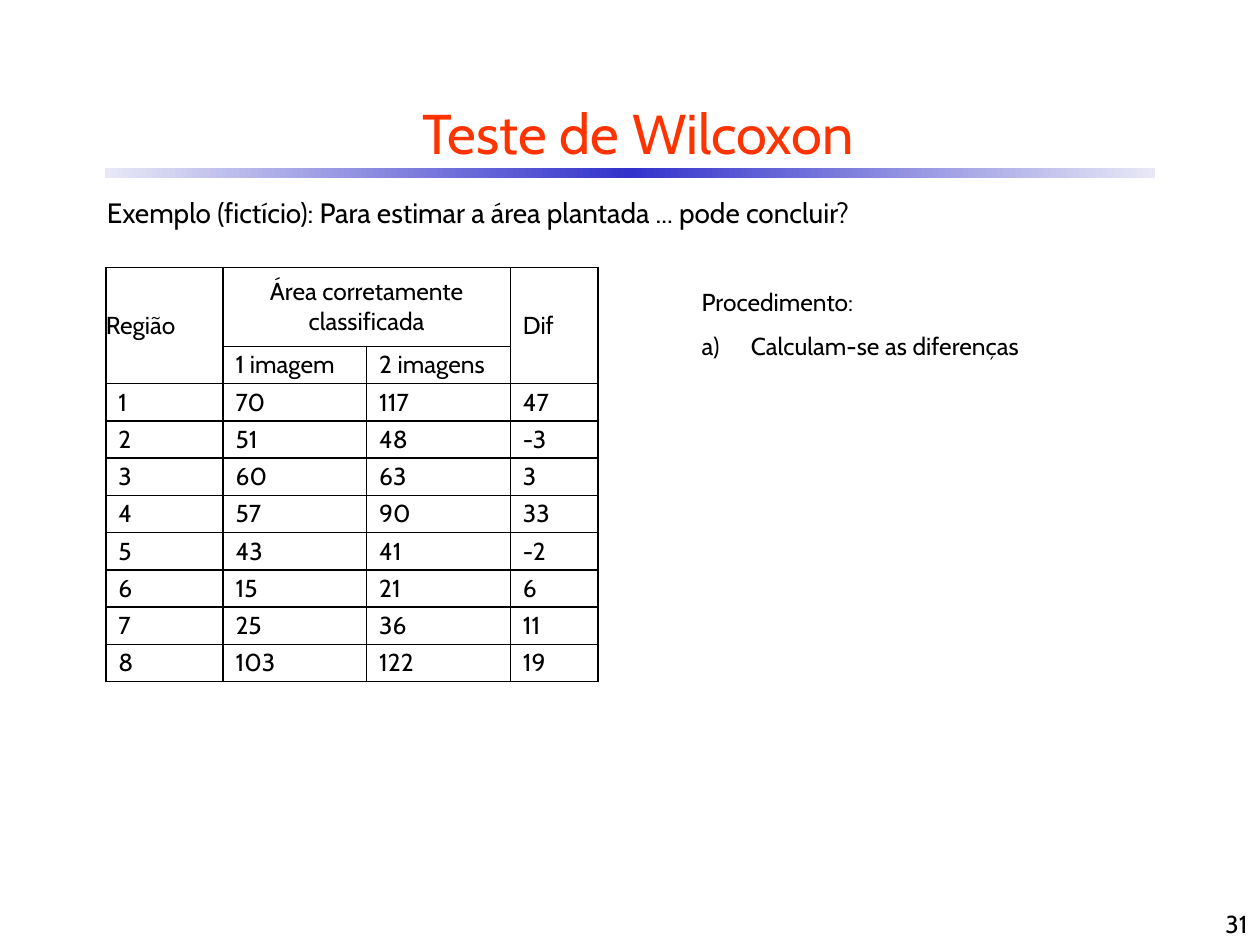
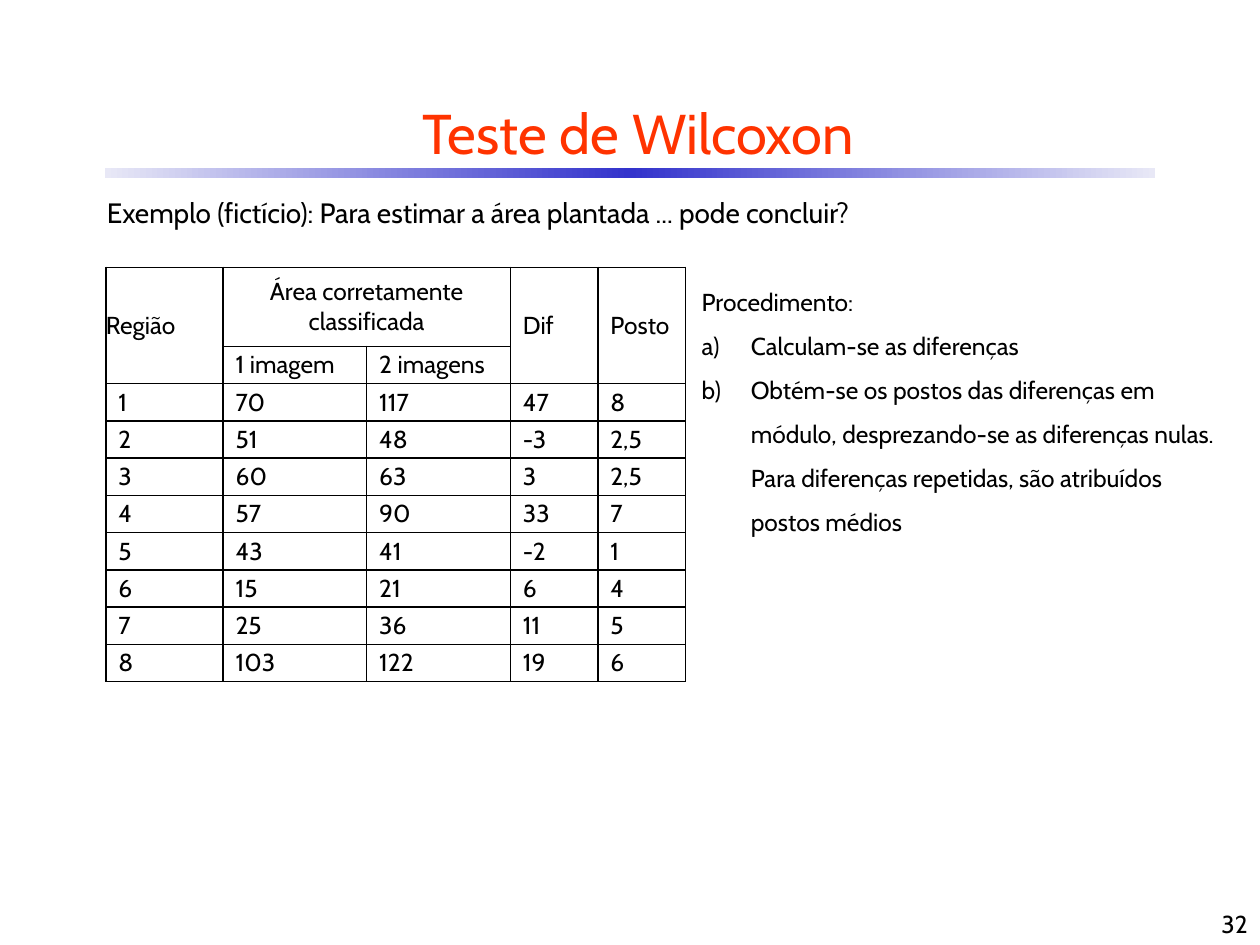
from copy import deepcopy
from dataclasses import dataclass

from lxml import etree
from pptx import Presentation
from pptx import util as u
from pptx.dml.color import RGBColor
from pptx.enum import shapes, text
from pptx.oxml import ns


@dataclass(frozen=True)
class Theme:
    font: str = "Cabin"
    title: RGBColor = RGBColor(0xFF, 0x33, 0x00)
    ink: RGBColor = RGBColor(0, 0, 0)
    paper: RGBColor = RGBColor(0xFF, 0xFF, 0xFF)
    band: RGBColor = RGBColor(0x33, 0x33, 0xCC)
    band_edge: RGBColor = RGBColor(0xE8, 0xE8, 0xF6)
    title_size: int = 32
    lead_size: int = 16
    body_size: int = 14
    border: int = 1


T = Theme()
prs = Presentation()
prs.slide_width, prs.slide_height = u.Inches(10), u.Inches(7.5)
COL, ROW = prs.slide_width / 100, prs.slide_height / 100


def area(left, top, width, height):
    return [round(v) for v in (left * COL, top * ROW, width * COL, height * ROW)]


def write(tf, lines, size=T.body_size, color=T.ink, align=text.PP_ALIGN.LEFT,
          anchor=text.MSO_ANCHOR.TOP, hang=0, spacing=None, numbered=False, grow=False):
    tf.word_wrap = True
    tf.vertical_anchor = anchor
    if grow:
        tf.auto_size = text.MSO_AUTO_SIZE.SHAPE_TO_FIT_TEXT
    for i, line in enumerate(lines):
        p = tf.add_paragraph() if i else tf.paragraphs[0]
        p.alignment = align
        if spacing:
            p.line_spacing = spacing
        if hang:
            pPr = p._p.get_or_add_pPr()
            pPr.set("marL", str(round(hang * COL)))
            pPr.set("indent", str(-round(hang * COL)))
            if numbered and i:
                etree.SubElement(pPr, ns.qn("a:buAutoNum"), type="alphaLcParenR")
        r = p.add_run()
        r.text = line
        r.font.name, r.font.size, r.font.color.rgb = T.font, u.Pt(size), color


MIDDLE, CENTER = text.MSO_ANCHOR.MIDDLE, text.PP_ALIGN.CENTER
header = ["Região", "Área corretamente classificada", "", "Dif", "Posto"]
subheader = ["", "1 imagem", "2 imagens", "", ""]
one_image = [70, 51, 60, 57, 43, 15, 25, 103]
two_images = [117, 48, 63, 90, 41, 21, 36, 122]
ranks = ["8", "2,5", "2,5", "7", "1", "4", "5", "6"]
regions = [[str(v) for v in (n, a, b, b - a, rank)]
           for n, (a, b, rank) in enumerate(zip(one_image, two_images, ranks), 1)]
rows = [header, subheader] + regions
col_widths = [9.3, 11.4, 11.4, 6.95, 6.95]
header_height, table_height = 8.36, 43.87
row_height = (table_height - header_height) / (len(rows) - 1)

steps = [
    "Procedimento:",
    "Calculam-se as diferenças",
    "Obtém-se os postos das diferenças em módulo, desprezando-se as diferenças nulas. "
    "Para diferenças repetidas, são atribuídos postos médios",
]

for number, col_count, step_count, steps_height in [(31, 4, 2, 10.27), (32, 5, 3, 29.6)]:
    s = prs.slides.add_slide(prs.slide_layouts[6])

    band = s.shapes.add_shape(shapes.MSO_SHAPE.RECTANGLE, *area(8.33, 17.75, 83.33, 1.07))
    band.shadow.inherit = False
    band.line.fill.background()
    band.fill.gradient()
    band.fill.gradient_angle = 0
    stops = band._element.spPr.find(".//" + ns.qn("a:gsLst"))
    stops.insert(1, deepcopy(stops[0]))
    for stop, position, color in zip(band.fill.gradient_stops, (0, 0.5, 1),
                                     (T.band_edge, T.band, T.band_edge)):
        stop.position, stop.color.rgb = position, color

    title = s.shapes.add_textbox(*area(3.3, 8.93, 94.7, 10))
    write(title.text_frame, ["Teste de Wilcoxon"], size=T.title_size, color=T.title,
          align=CENTER, anchor=MIDDLE)

    lead = s.shapes.add_textbox(*area(7.5, 20, 87, 4.93))
    write(lead.text_frame,
          ["Exemplo (fictício): Para estimar a área plantada ... pode concluir?"],
          size=T.lead_size, hang=2.1, grow=True)

    widths = col_widths[:col_count]
    table = s.shapes.add_table(len(rows), col_count,
                               *area(8.4, 28.3, sum(widths), table_height)).table
    table.first_row = table.horz_banding = False
    for column, width in zip(table.columns, widths):
        column.width = round(width * COL)
    for i, row in enumerate(table.rows):
        row.height = round((row_height if i else header_height) * ROW)
    table.cell(0, 1).merge(table.cell(0, 2))
    for c in [0, *range(3, col_count)]:
        table.cell(0, c).merge(table.cell(1, c))

    for i, row in enumerate(rows):
        for c, value in enumerate(row[:col_count]):
            cell = table.cell(i, c)
            side = 0 if value == "Região" else round(COL)
            cell.margin_left = cell.margin_right = side
            cell.margin_top = cell.margin_bottom = 0
            tcPr = cell._tc.get_or_add_tcPr()
            for edge in "LRTB":
                ln = etree.SubElement(tcPr, ns.qn("a:ln" + edge), w=str(u.Pt(T.border)))
                fill = etree.SubElement(ln, ns.qn("a:solidFill"))
                etree.SubElement(fill, ns.qn("a:srgbClr"), val=str(T.ink))
            cell.fill.solid()
            cell.fill.fore_color.rgb = T.paper
            cell.vertical_anchor = MIDDLE
            if value:
                write(cell.text_frame, [value], anchor=MIDDLE,
                      align=CENTER if (i, c) == (0, 1) else text.PP_ALIGN.LEFT)

    procedure = s.shapes.add_textbox(*area(54.7, 28.13, 43.8, steps_height))
    write(procedure.text_frame, steps[:step_count], hang=3.9, spacing=1.5,
          numbered=True, grow=True)

    footer = s.shapes.add_textbox(*area(79.2, 93.33, 20.8, 6.67))
    write(footer.text_frame, [str(number)], align=text.PP_ALIGN.RIGHT,
          anchor=text.MSO_ANCHOR.BOTTOM)

prs.save("out.pptx")
